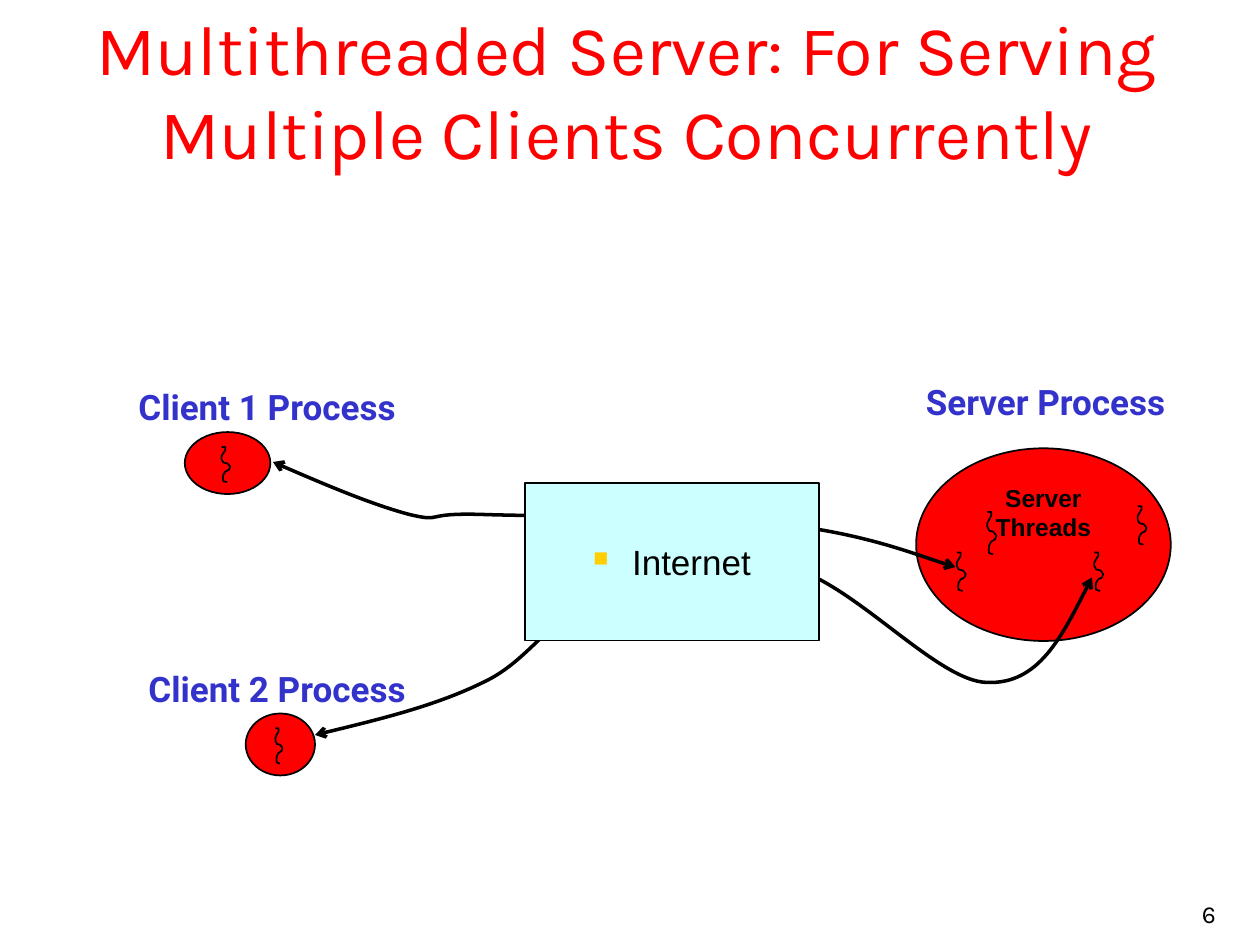
import pptx
import pptx.dml.color
import pptx.enum.shapes
import pptx.enum.text
import pptx.oxml
import pptx.oxml.ns
import pptx.util

SHAPES = pptx.enum.shapes.MSO_SHAPE
ALIGN = pptx.enum.text.PP_ALIGN
ANCHOR = pptx.enum.text.MSO_ANCHOR
COLUMNS, ROWS = 120, 90
CELL = pptx.util.Inches(10) // COLUMNS
BLACK, RED, WHITE, BLUE, CYAN, GOLD = "000000", "FF0000", "FFFFFF", "3333CC", "CCFFFF", "FFCF01"

# Thread outline, as shares of its box
SQUIGGLE = [(0, 0), (.43, 0), (.43, .09), (.2, .18), (0, .26), (0, .35), (.2, .44), (.7, .47),
            (1, .56), (.86, .65), (.43, .7), (.2, .79), (.15, .88), (.2, .97), (.65, 1)]


def colour(code):
    return pptx.dml.color.RGBColor.from_string(code)


def cells(*values):
    return [round(value * CELL) for value in values]


def inside(box, shares):
    """Return the part of a box given by shares of its size."""
    left, top, width, height = box
    x, y, w, h = shares
    return left + x * width, top + y * height, w * width, h * height


def write(frame, text, size=20, font="Arial", color=BLACK, bold=False, align=ALIGN.LEFT,
          anchor=ANCHOR.TOP, wrap=True, bullet=None):
    frame.word_wrap = wrap
    frame.auto_size = pptx.enum.text.MSO_AUTO_SIZE.NONE
    frame.vertical_anchor = anchor
    frame.text = text
    for para in frame.paragraphs:
        para.alignment = align
        if bullet:
            add_bullet(para, bullet)
        for span in para.runs:
            span.font.size = pptx.util.Pt(size)
            span.font.name = font
            span.font.bold = bold
            span.font.color.rgb = colour(color)


def add_bullet(para, color):
    properties = para._p.get_or_add_pPr()
    indent = pptx.util.Inches(0.31)
    properties.set("marL", str(indent))
    properties.set("indent", str(-indent))
    space = pptx.oxml.ns.nsdecls("a")
    for xml in (f'<a:buClr {space}><a:srgbClr val="{color}"/></a:buClr>',
                f'<a:buSzPct {space} val="60000"/>',
                f'<a:buChar {space} char="■"/>'):
        properties.append(pptx.oxml.parse_xml(xml))


def paint(shape, fill=None, width=1):
    shape.shadow.inherit = False
    if fill:
        shape.fill.solid()
        shape.fill.fore_color.rgb = colour(fill)
    else:
        shape.fill.background()
    shape.line.color.rgb = colour(BLACK)
    shape.line.width = pptx.util.Pt(width)
    return shape


def add_outline(page, points):
    start, *others = [cells(*point) for point in points]
    builder = page.shapes.build_freeform(*start)
    builder.add_line_segments(others, close=False)
    return builder.convert_to_shape()


def add_label(page, box, text, **style):
    write(page.shapes.add_textbox(*cells(*box)).text_frame, text, **style)


def add_title(page, box, text):
    title = page.shapes.title
    title.left, title.top, title.width, title.height = cells(*box)
    title.fill.solid()
    title.fill.fore_color.rgb = colour(WHITE)
    write(title.text_frame, text, size=40, font="Karla", color=RED,
          align=ALIGN.CENTER, anchor=ANCHOR.MIDDLE)


def add_process(page, box, label_box, label, threads, text=""):
    """Draw a process as an ellipse with its threads and its label."""
    ellipse = paint(page.shapes.add_shape(SHAPES.OVAL, *cells(*box)), RED)
    if text:
        write(ellipse.text_frame, text, size=14, bold=True, align=ALIGN.CENTER, wrap=False)
    for shares in threads:
        left, top, width, height = inside(box, shares)
        points = [(left + x * width, top + y * height) for x, y in SQUIGGLE]
        paint(add_outline(page, points), RED)
    add_label(page, label_box, label, font="Roboto", color=BLUE, bold=True)


def add_connection(page, points):
    """Draw a smooth line, with an arrowhead at both ends, from Bezier points."""
    curve = paint(add_outline(page, points), width=2)
    lines = curve._element.findall(".//" + pptx.oxml.ns.qn("a:lnTo"))
    for first in range(0, len(lines), 3):
        bezier = pptx.oxml.parse_xml(f'<a:cubicBezTo {pptx.oxml.ns.nsdecls("a")}/>')
        lines[first].addprevious(bezier)
        for line in lines[first:first + 3]:
            bezier.append(line[0])
            line.getparent().remove(line)
    stroke = curve.line._get_or_add_ln()
    for end in ("headEnd", "tailEnd"):
        stroke.append(pptx.oxml.parse_xml(
            f'<a:{end} {pptx.oxml.ns.nsdecls("a")} type="arrow"/>'))


def add_network(page, box, text):
    cloud = paint(page.shapes.add_shape(SHAPES.RECTANGLE, *cells(*box)), CYAN)
    write(cloud.text_frame, text, align=ALIGN.CENTER, anchor=ANCHOR.MIDDLE,
          wrap=False, bullet=GOLD)


def main():
    deck = pptx.Presentation()
    deck.slide_width, deck.slide_height = COLUMNS * CELL, ROWS * CELL
    page = deck.slides.add_slide(deck.slide_layouts[5])

    # Title and page number
    add_title(page, (2, 2, 115.3, 13),
              "Multithreaded Server: For Serving Multiple Clients Concurrently")
    add_label(page, (92, 83, 25, 6), "6", size=14, font="Karla",
              align=ALIGN.RIGHT, anchor=ANCHOR.BOTTOM)

    # Server and clients
    add_process(page, (87.25, 42.7, 24.25, 18.35), (87, 35.65, 31, 5.15), "Server Process",
                [(.16, .54, .035, .2), (.28, .33, .035, .22),
                 (.7, .54, .035, .2), (.87, .3, .035, .2)], "Server\nThreads")
    client_thread = [(.43, .24, .1, .57)]
    add_process(page, (17.6, 41.15, 8.15, 5.9), (12, 36.1, 30, 5.15),
                "Client 1 Process", client_thread)
    add_process(page, (23.4, 67.95, 6.6, 5.9), (12.95, 63, 28.4, 9.1),
                "Client 2 Process", client_thread)

    # Connections, which pass behind the network
    add_connection(page, [(26, 44), (30.8, 46.1), (35.6, 48.1), (39, 49), (42.4, 49.8),
                          (40, 48.8), (46, 49), (52, 49.2), (67.5, 49.2), (75, 50),
                          (82.5, 50.9), (88.5, 53.3), (91, 54)])
    add_connection(page, [(30, 70), (35.8, 68.6), (41.5, 67.2), (46, 65), (50.5, 62.9),
                          (52.2, 58.8), (57, 57), (61.8, 55.2), (68.9, 52.7), (75, 54),
                          (81.1, 55.3), (89.2, 64.9), (94, 65), (98.9, 65.2),
                          (101.4, 60.1), (104, 55)])
    add_network(page, (50, 46, 28, 15), "Internet")

    deck.save("out.pptx")


if __name__ == "__main__":
    main()
